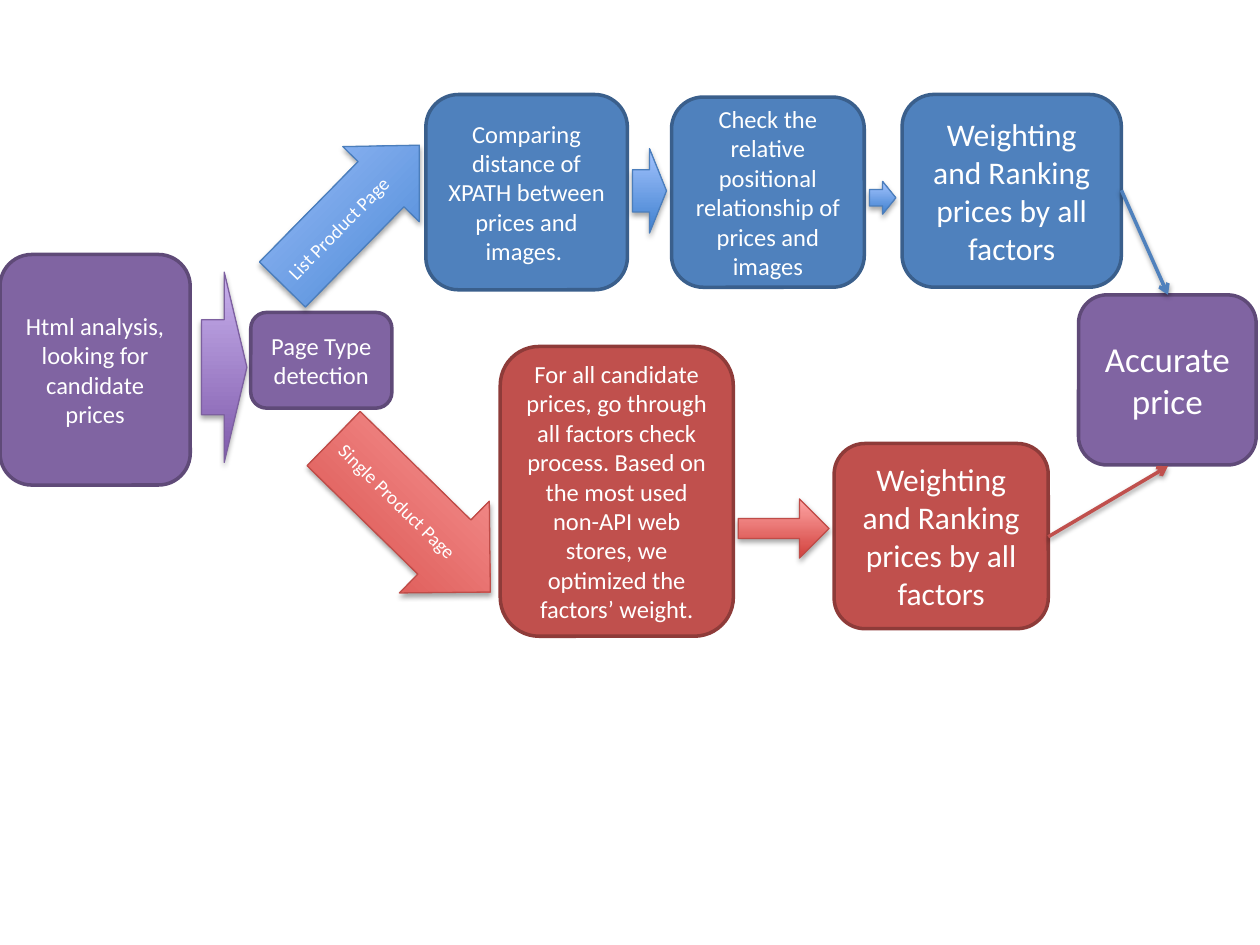
from pptx import Presentation
from pptx import util as u
from pptx.dml.color import RGBColor
from pptx.enum import shapes, text
from pptx.oxml import parse_xml
from pptx.oxml.ns import nsdecls, qn
from pptx.oxml.xmlchemy import OxmlElement


def color(value):
    return RGBColor.from_string(value)


class Flow:
    font = "Calibri"
    # fill, outline, arrow outline, gradient start, gradient end
    themes = {
        "purple": ("8064A2", "5F4A78", "7D60A0", "7F5BAB", "C8B0ED"),
        "blue": ("4F81BD", "3A5F8C", "4B7EBC", "3F80CE", "A4C4FF"),
        "red": ("C0504D", "8E3B39", "BF4C48", "D1403C", "FFA6A5"),
    }

    def __init__(self, page):
        self.page = page

    def shape(self, kind, place, outline, width):
        item = self.page.shapes.add_shape(kind, *map(u.Inches, place))
        item.line.color.rgb = color(outline)
        item.line.width = u.Pt(width)
        return item

    def label(self, item, words, size, align):
        frame = item.text_frame
        frame.word_wrap = True
        frame.vertical_anchor = text.MSO_ANCHOR.MIDDLE
        para = frame.paragraphs[0]
        para.text = words
        para.alignment = align
        para.font.name = self.font
        para.font.size = u.Pt(size)
        para.font.color.rgb = color("FFFFFF")

    def shadow(self, item, alpha, distance):
        item._element.spPr.append(parse_xml(
            f'<a:effectLst {nsdecls("a")}><a:outerShdw blurRad="{u.Pt(3.1)}" '
            f'dist="{u.Pt(distance)}" dir="5400000" rotWithShape="0">'
            f'<a:srgbClr val="000000"><a:alpha val="{alpha * 1000}"/></a:srgbClr>'
            '</a:outerShdw></a:effectLst>'))

    def box(self, theme, place, words, size=14):
        fill, outline = self.themes[theme][:2]
        item = self.shape(shapes.MSO_SHAPE.ROUNDED_RECTANGLE, place, outline, 2)
        item.fill.solid()
        item.fill.fore_color.rgb = color(fill)
        item.shadow.inherit = False
        self.label(item, words, size, text.PP_ALIGN.CENTER)

    def arrow(self, theme, place, words="", rotation=0, adjust=(0.5, 0.5)):
        outline, *stops = self.themes[theme][2:]
        item = self.shape(shapes.MSO_SHAPE.RIGHT_ARROW, place, outline, 0.75)
        item.rotation = rotation
        for index, value in enumerate(adjust):
            item.adjustments[index] = value
        item.fill.gradient()
        item.fill.gradient_angle = 90
        for stop, value in zip(item.fill.gradient_stops, stops):
            stop.color.rgb = color(value)
        self.shadow(item, 35, 1.8)
        if words:
            self.label(item, words, 11, text.PP_ALIGN.LEFT)

    def link(self, theme, start, end):
        item = self.page.shapes.add_connector(
            shapes.MSO_CONNECTOR.STRAIGHT, *map(u.Inches, start + end))
        item.line.color.rgb = color(self.themes[theme][0])
        item.line.width = u.Pt(2)
        tail = OxmlElement("a:tailEnd")
        tail.set("type", "arrow")
        item._element.spPr.find(qn("a:ln")).append(tail)
        self.shadow(item, 38, 1.6)


deck = Presentation()
deck.slide_width, deck.slide_height = u.Inches(10), u.Inches(7.5)
flow = Flow(deck.slides.add_slide(deck.slide_layouts[6]))
ranking = "Weighting and Ranking prices by all factors"

# Shared steps
flow.box("purple", (0, 2.02, 1.51, 1.83), "Html analysis, looking for candidate prices")
flow.box("purple", (1.99, 2.48, 1.12, 0.76), "Page Type detection")
flow.box("purple", (8.56, 2.34, 1.41, 1.35), "Accurate price", 20)
flow.arrow("purple", (1.6, 2.16, 0.36, 1.51))

# List page branch
flow.box("blue", (3.38, 0.75, 1.6, 1.55),
         "Comparing distance of XPATH between prices and images. ")
flow.box("blue", (5.33, 0.77, 1.53, 1.51),
         "Check the relative positional relationship of prices and images")
flow.box("blue", (7.16, 0.75, 1.74, 1.53), ranking, 18)
flow.arrow("blue", (2.01, 1.28, 1.55, 0.85), "List Product Page", 314.5, (0.6, 0.51))
flow.arrow("blue", (5.02, 1.18, 0.27, 0.67))
flow.arrow("blue", (6.9, 1.44, 0.21, 0.26))

# Single page branch
flow.box("red", (3.97, 2.75, 1.85, 2.3),
         "For all candidate prices, go through all factors check process. Based on "
         "the most used non-API web stores, we optimized the factors’ weight.")
flow.box("red", (6.62, 3.52, 1.7, 1.47), ranking, 18)
flow.arrow("red", (2.4, 3.58, 1.74, 1.02), "Single Product Page", 44.4, (0.59, 0.5))
flow.arrow("red", (5.86, 3.96, 0.72, 0.47), adjust=(0.34, 0.5))

# Links to the result
flow.link("blue", (8.9, 1.51), (9.27, 2.34))
flow.link("red", (8.32, 4.26), (9.27, 3.7))

deck.save("out.pptx")
